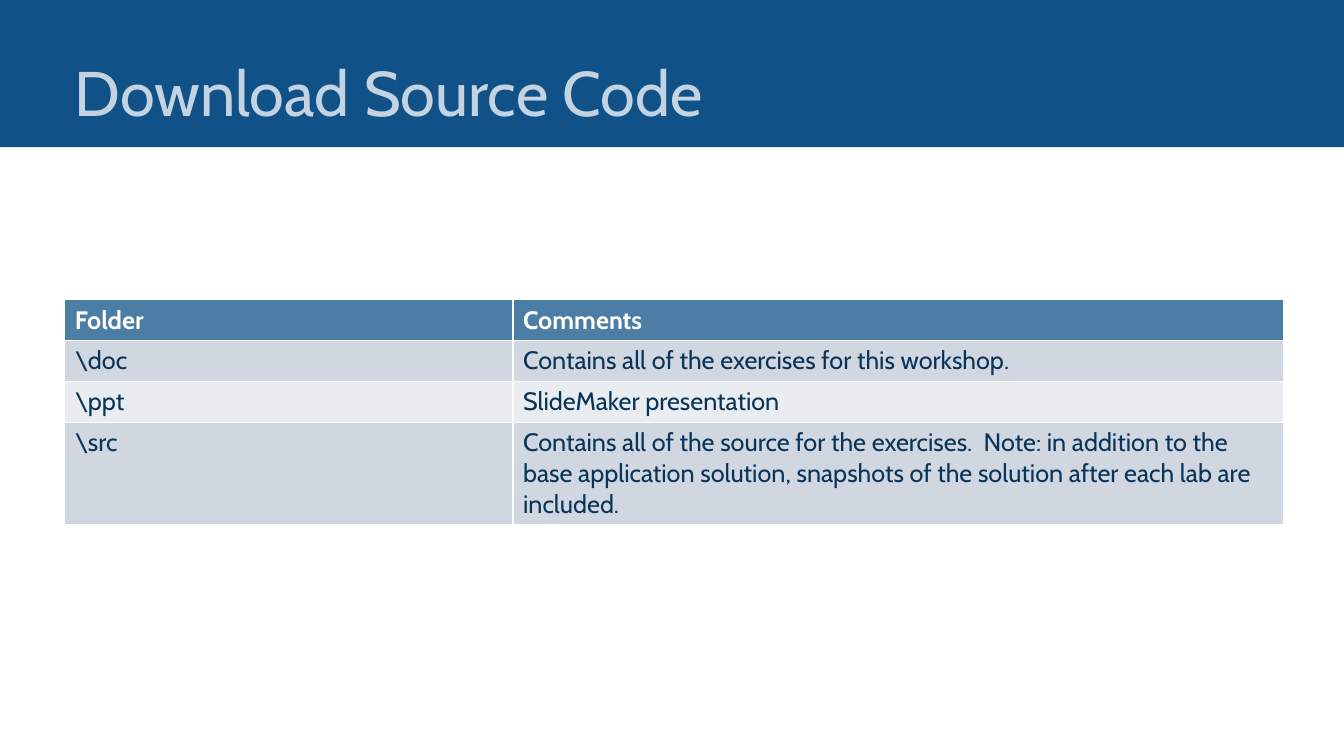
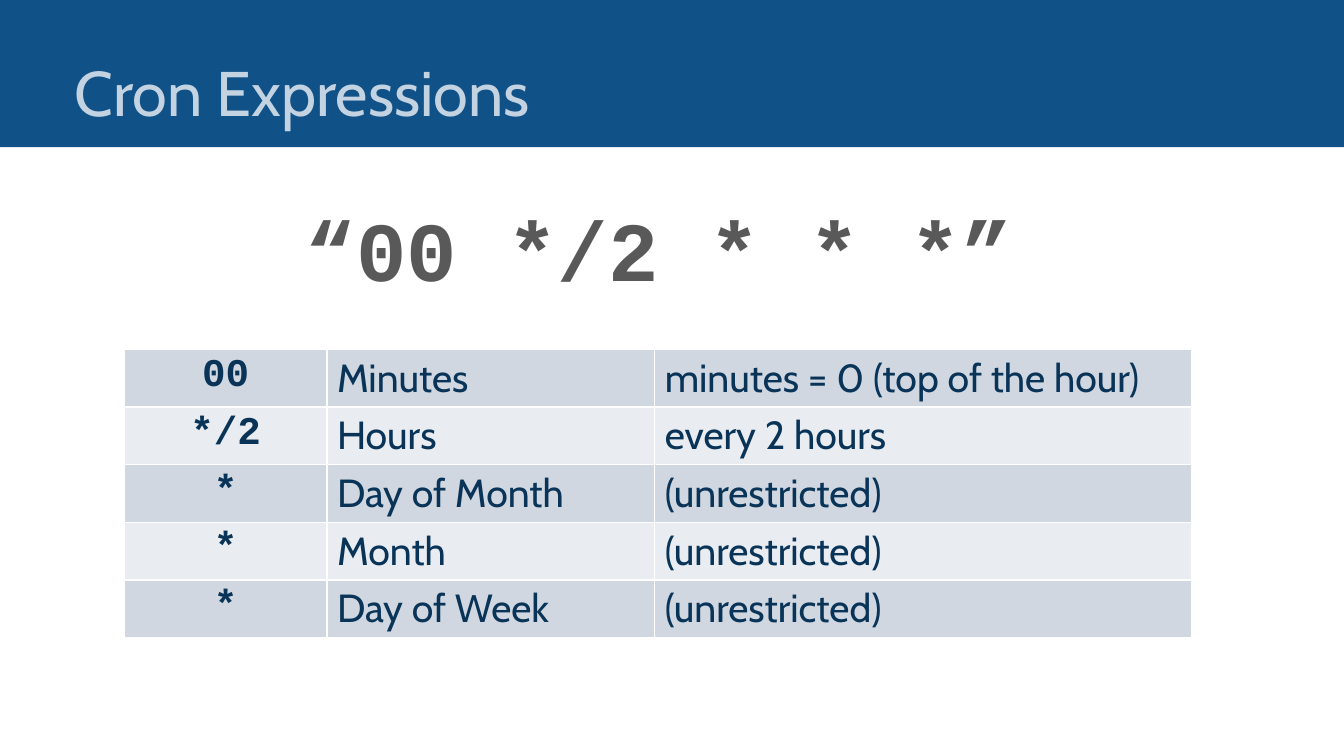
from dataclasses import dataclass

from lxml import etree
from pptx import Presentation, util as u
from pptx.dml.color import RGBColor
from pptx.enum import shapes, text
from pptx.oxml.ns import qn


@dataclass(frozen=True)
class Theme:
    sans: str = "Cabin"
    mono: str = "Courier New"
    band: str = "105187"
    title: str = "C3D3E1"
    header: str = "4C7DA5"
    header_text: str = "FFFFFF"
    ink: str = "093458"
    code: str = "595959"
    stripes: tuple = ("D0D7E1", "E9ECF0")
    title_size: float = 45
    code_size: float = 60
    table_size: float = 18
    large_table_size: float = 28


class Deck:
    """Hold the theme and the current slide, and add each kind of element."""

    def __init__(self, theme):
        self.theme = theme
        self.prs = Presentation()
        self.prs.slide_width, self.prs.slide_height = u.Cm(33.87), u.Cm(19.05)
        self.slide = None

    def start(self, layout, heading):
        self.slide = self.prs.slides.add_slide(self.prs.slide_layouts.get_by_name(layout))
        if len(self.prs.slides) == 1:
            self.band()
        self.placeholder(self.slide.shapes.title, heading, (1.63, 0.23, 26.72, 3.18),
                         text.MSO_ANCHOR.BOTTOM, text.PP_ALIGN.LEFT,
                         self.font(self.theme.title_size, self.theme.title), 0.9)

    def band(self):
        band = self.slide.shapes.add_shape(shapes.MSO_SHAPE.RECTANGLE, 0, 0,
                                           self.prs.slide_width, u.Cm(3.71))
        band.shadow.inherit = False
        self.fill(band.fill, self.theme.band)
        band.line.fill.background()
        master = self.prs.slide_master.shapes
        master[0].element.addprevious(band.element)

    def fill(self, area, color):
        area.solid()
        area.fore_color.rgb = RGBColor.from_string(color)

    def font(self, size, color, name=None, bold=False):
        return {"size": u.Pt(size), "color": color, "name": name or self.theme.sans, "bold": bold}

    def add_words(self, paragraph, words, style, align):
        paragraph.alignment = align
        run = paragraph.add_run()
        run.text = words
        for key, value in style.items():
            if key == "color":
                run.font.color.rgb = RGBColor.from_string(value)
            else:
                setattr(run.font, key, value)

    def placeholder(self, holder, words, box, anchor, align, style, spacing=1.0):
        for key, value in zip(("left", "top", "width", "height"), box):
            setattr(holder, key, u.Cm(value))
        frame = holder.text_frame
        for key, value in {"word_wrap": True, "auto_size": text.MSO_AUTO_SIZE.NONE,
                           "vertical_anchor": anchor}.items():
            setattr(frame, key, value)
        paragraph = frame.paragraphs[0]
        paragraph.line_spacing = spacing
        paragraph.space_before = int(style["size"] * 0.3)
        self.add_words(paragraph, words, style, align)
        return paragraph

    def expression(self, words):
        style = self.font(self.theme.code_size, self.theme.code, self.theme.mono, True)
        paragraph = self.placeholder(self.slide.placeholders[1], words, (1.65, 3.71, 29.9, 5.08),
                                     text.MSO_ANCHOR.MIDDLE, text.PP_ALIGN.CENTER, style)
        properties = paragraph._p.get_or_add_pPr()
        properties.set("marL", "0")
        properties.set("indent", "0")
        etree.SubElement(properties, qn("a:buNone"))

    def table(self, rows, left, top, widths, row_height, size, header=False, code_column=None):
        frame = self.slide.shapes.add_table(len(rows), len(widths), u.Cm(left), u.Cm(top),
                                            u.Cm(sum(widths)), u.Cm(row_height * len(rows)))
        grid = frame.table
        grid.first_row = header
        for column, width in zip(grid.columns, widths):
            column.width = u.Cm(width)
        for r, row in enumerate(rows):
            heading = header and r == 0
            color = self.theme.header if heading else self.theme.stripes[(r - header) % 2]
            ink = self.theme.header_text if heading else self.theme.ink
            for c, words in enumerate(row):
                code = c == code_column
                cell = grid.cell(r, c)
                self.fill(cell.fill, color)
                style = self.font(size, ink, self.theme.mono if code else None, heading or code)
                align = text.PP_ALIGN.CENTER if code else text.PP_ALIGN.LEFT
                self.add_words(cell.text_frame.paragraphs[0], words, style, align)


def main():
    theme = Theme()
    deck = Deck(theme)

    deck.start("Title Only", "Download Source Code")
    folders = [
        ("Folder", "Comments"),
        (r"\doc", "Contains all of the exercises for this workshop."),
        (r"\ppt", "SlideMaker presentation"),
        (r"\src", "Contains all of the source for the exercises.  Note: in addition to the base "
                  "application solution, snapshots of the solution after each lab are included."),
    ]
    deck.table(folders, 1.63, 7.55, (11.3, 19.43), 1.03, theme.table_size, header=True)

    deck.start("Title and Content", "Cron Expressions")
    deck.expression("“00 */2 * * *”")
    fields = [
        ("00", "Minutes", "minutes = 0 (top of the hour)"),
        ("*/2", "Hours", "every 2 hours"),
        ("*", "Day of Month", "(unrestricted)"),
        ("*", "Month", "(unrestricted)"),
        ("*", "Day of Week", "(unrestricted)"),
    ]
    deck.table(fields, 3.13, 8.8, (5.11, 8.26, 13.54), 1.45, theme.large_table_size, code_column=0)

    deck.prs.save("out.pptx")


if __name__ == "__main__":
    main()
